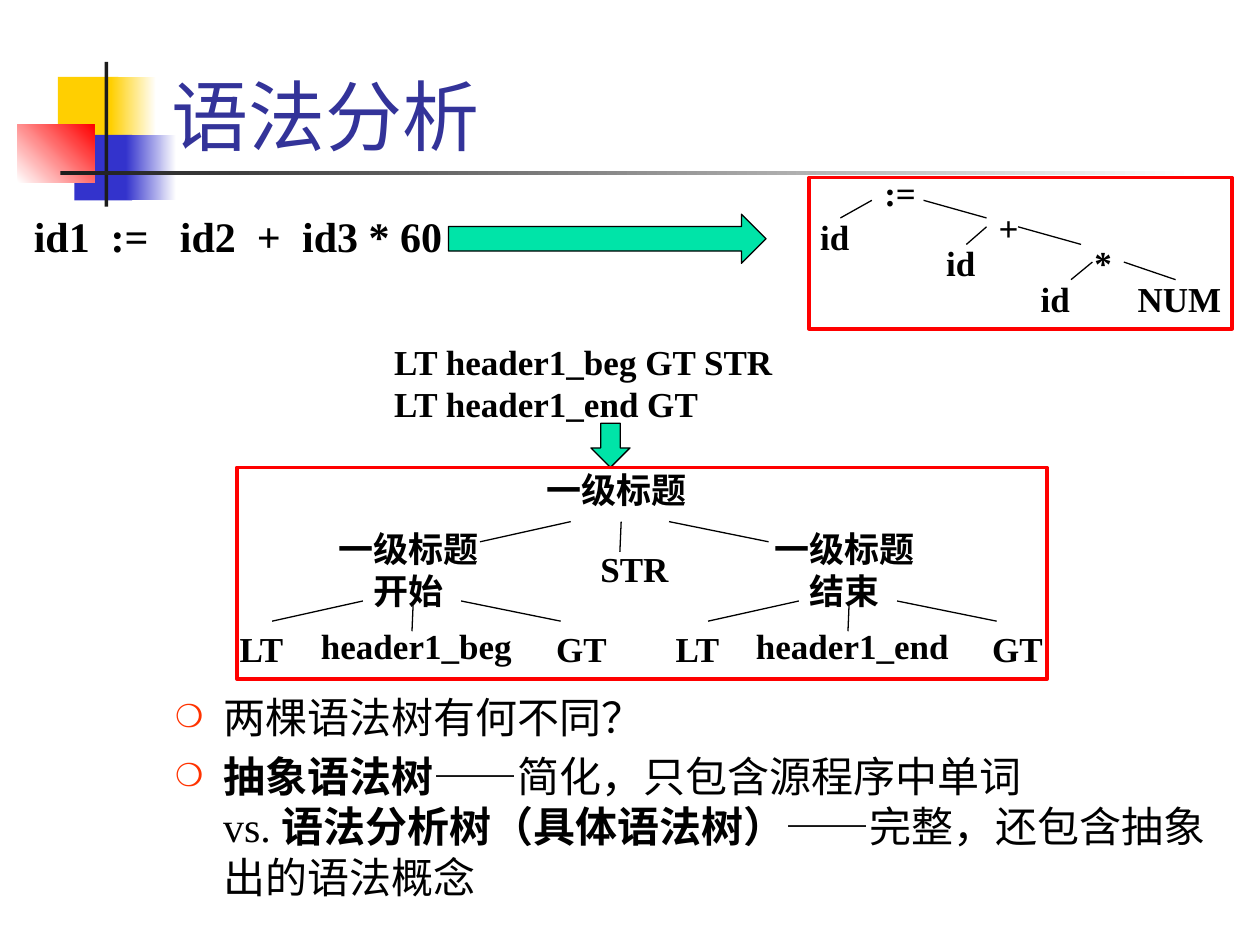
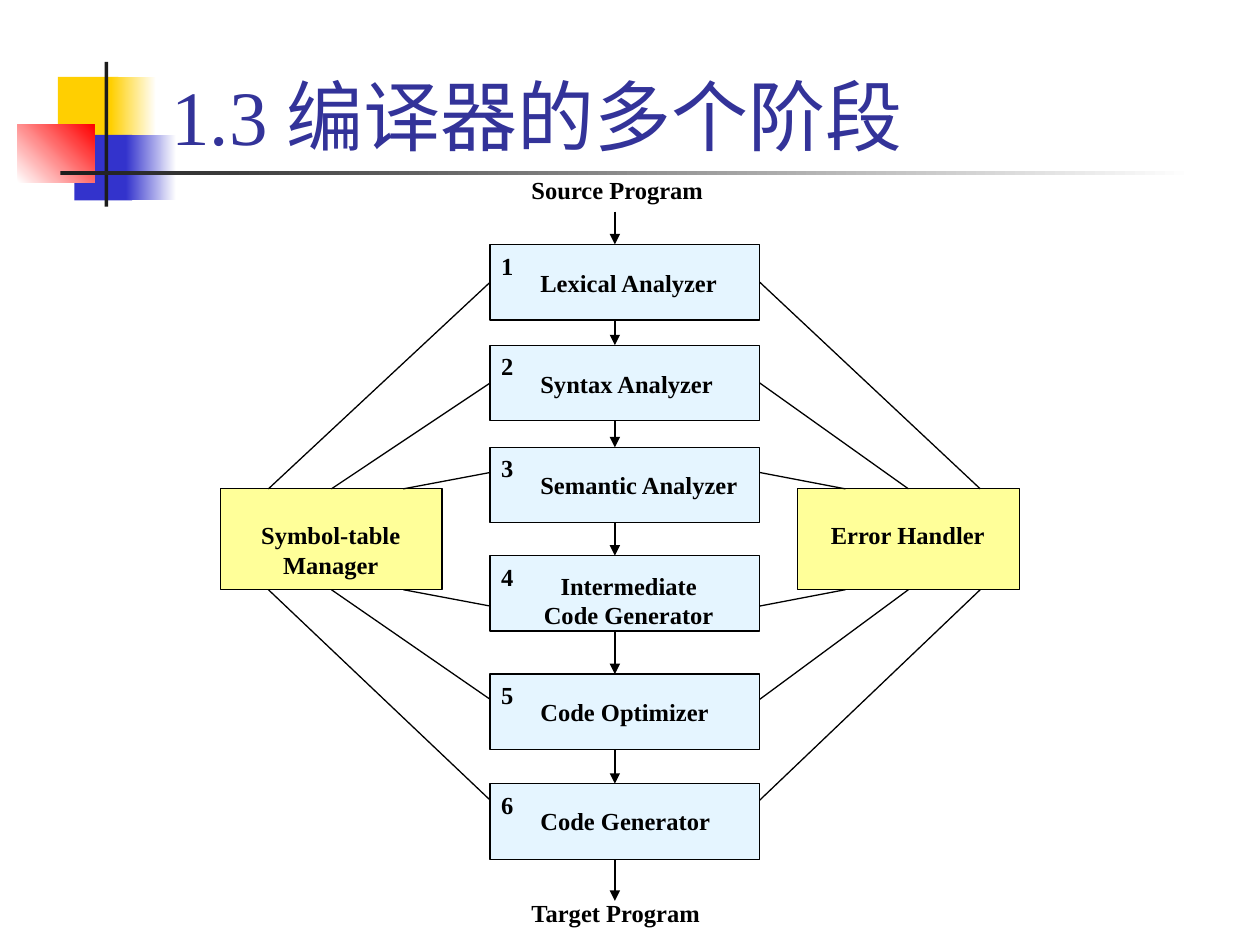
from lxml.etree import SubElement
from pptx import Presentation
from pptx.dml.color import RGBColor
from pptx.enum.shapes import MSO_CONNECTOR, MSO_SHAPE
from pptx.enum.text import MSO_ANCHOR, MSO_AUTO_SIZE, PP_ALIGN
from pptx.oxml.ns import qn
from pptx.util import Inches, Pt

FONT = "Times New Roman"
COLORS = {
    "title": "333399", "text": "000000", "bullet": "FF3300",
    "yellow": "FFCF01", "blue": "3333CC", "red": "FF0000",
    "dark": "1C1C1C", "white": "FFFFFF",
    "arrow": "00E4A8", "stage": "CCECFF", "manager": "FFFF99",
}
TOP, LEFT, BOTTOM, RIGHT = range(4)  # connection sites of a rectangle


def rgb(name):
    return RGBColor.from_string(COLORS[name])


# Basic elements

def add_run(paragraph, text, size, color="text", bold=False):
    run = paragraph.add_run()
    run.text = text
    run.font.name = FONT
    run.font.size = Pt(size)
    run.font.bold = bold
    run.font.color.rgb = rgb(color)


def add_label(slide, text, left, top, width, height=0.44, size=20,
              align=PP_ALIGN.CENTER, tabs=()):
    box = slide.shapes.add_textbox(*map(Inches, (left, top, width, height)))
    box.text_frame.word_wrap = True
    paragraph = box.text_frame.paragraphs[0]
    paragraph.alignment = align
    if tabs:
        tab_list = SubElement(paragraph._p.get_or_add_pPr(), qn("a:tabLst"))
        for position in tabs:
            SubElement(tab_list, qn("a:tab"), pos=str(Inches(position)), algn="l")
    add_run(paragraph, text, size, bold=True)


def add_block(slide, area, fill=None, kind=MSO_SHAPE.RECTANGLE, line=None,
              line_width=0.75, alpha=None):
    block = slide.shapes.add_shape(kind, *map(Inches, area))
    block.shadow.inherit = False
    if fill:
        block.fill.solid()
        block.fill.fore_color.rgb = rgb(fill)
    else:
        block.fill.background()
    if alpha:
        color = block.element.spPr.find(qn("a:solidFill"))[0]
        SubElement(color, qn("a:alpha"), val=str(alpha * 1000))
    if line:
        block.line.color.rgb = rgb(line)
        block.line.width = Pt(line_width)
    else:
        block.line.fill.background()
    return block


def add_fade(slide, area, start, end, angle=0):
    fade = add_block(slide, area, start)
    fade.fill.gradient()
    fade.fill.gradient_angle = angle
    for stop, color, position in zip(fade.fill.gradient_stops, (start, end), (0, 1)):
        stop.color.rgb = rgb(color)
        stop.position = position


def add_line(slide, start, end, arrow=False):
    line = slide.shapes.add_connector(
        MSO_CONNECTOR.STRAIGHT, *map(Inches, (*start, *end)))
    line.line.color.rgb = rgb("text")
    line.line.width = Pt(0.75)
    properties = line.element.spPr
    if arrow:
        SubElement(properties.find(qn("a:ln")), qn("a:tailEnd"), type="triangle")
    SubElement(properties, qn("a:effectLst"))
    return line


# Placeholders and the shared slide design

def place(placeholder, left, top, width, height, anchor):
    placeholder.left, placeholder.top = Inches(left), Inches(top)
    placeholder.width, placeholder.height = Inches(width), Inches(height)
    frame = placeholder.text_frame
    frame.auto_size = MSO_AUTO_SIZE.NONE
    frame.word_wrap = True
    frame.vertical_anchor = anchor
    # Bring the text in front of the decoration
    placeholder.element.getparent().append(placeholder.element)
    return frame


def add_slide(prs, layout, title):
    slide = prs.slides.add_slide(prs.slide_layouts[layout])
    add_block(slide, (0.46, 0.61, 0.48, 0.52), "yellow")
    add_fade(slide, (0.88, 0.61, 0.36, 0.52), "yellow", "white")
    add_block(slide, (0.59, 1.07, 0.46, 0.52), "blue")
    add_fade(slide, (1, 1.07, 0.4, 0.52), "blue", "white")
    add_fade(slide, (0.14, 0.99, 0.61, 0.46), "white", "red", 45)
    add_block(slide, (0.83, 0.49, 0.03, 1.15), "dark")
    add_fade(slide, (0.48, 1.36, 9, 0.03), "dark", "white")

    frame = place(slide.shapes.title, 1.26, 0.08, 8.52, 1.25, MSO_ANCHOR.BOTTOM)
    frame.paragraphs[0].alignment = PP_ALIGN.LEFT
    add_run(frame.paragraphs[0], title, 44, "title")
    return slide


def add_bullet(paragraph):
    properties = paragraph._p.get_or_add_pPr()
    properties.set("marL", str(Inches(0.38)))
    properties.set("indent", str(-Inches(0.38)))
    color = SubElement(properties, qn("a:buClr"))
    SubElement(color, qn("a:srgbClr"), val=COLORS["bullet"])
    SubElement(properties, qn("a:buSzPct"), val="75000")
    SubElement(properties, qn("a:buChar"), char="❍")


def add_bullet_list(slide, items):
    frame = place(slide.placeholders[1], 1.29, 5.44, 8.5, 1.54, MSO_ANCHOR.TOP)
    for index, item in enumerate(items):
        paragraph = frame.add_paragraph() if index else frame.paragraphs[0]
        add_bullet(paragraph)
        paragraph.space_before = Pt(4.8 if index else 0)
        for text, bold in item:
            if text == "\n":
                paragraph.add_line_break()
            else:
                add_run(paragraph, text, 24, bold=bold)


# Syntax trees

def add_branches(slide, x, y):
    """Three lines from a node down to its children."""
    for start, end, drop in ((0.38, 1.17, 0.16), (-0.4, -1.12, 0.16), (0, -0.01, 0.24)):
        add_line(slide, (x + start, y), (x + end, y + drop))


def add_tag_tree(slide, left, node, tag):
    add_label(slide, "LT", left, 4.93, 0.61)
    add_label(slide, node, left + 0.71, 4.14, 1.52, 0.77)
    add_label(slide, tag, left + 0.63, 4.91, 1.81)
    add_label(slide, "GT", left + 2.54, 4.93, 0.61)
    add_branches(slide, left + 1.51, 4.77)


def add_heading_tree(slide):
    add_label(slide, "LT header1_beg GT STR LT header1_end GT",
              3.03, 2.65, 3.54, 0.55, align=PP_ALIGN.LEFT)
    add_block(slide, (4.69, 3.36, 0.31, 0.35), "arrow", MSO_SHAPE.DOWN_ARROW, "text")
    add_label(slide, "一级标题", 4.13, 3.67, 1.52)
    add_label(slide, "STR", 4.13, 4.3, 1.81)
    add_branches(slide, 4.93, 4.14)
    add_tag_tree(slide, 1.77, "一级标题开始", "header1_beg")
    add_tag_tree(slide, 5.23, "一级标题结束", "header1_end")
    add_block(slide, (1.88, 3.71, 6.43, 1.68), line="red", line_width=2)


def add_expression_tree(slide):
    add_label(slide, "id1\t:=\tid2\t+\tid3 * 60", 0.17, 1.62, 3.47, 0.51, 24,
              PP_ALIGN.LEFT, tabs=(0.61, 1.16, 1.77, 2.13))
    add_block(slide, (3.56, 1.7, 2.52, 0.39), "arrow", MSO_SHAPE.RIGHT_ARROW, "text")
    add_label(slide, ":=", 6.92, 1.31, 0.67, align=PP_ALIGN.LEFT)
    for node, left, top, width in (
            ("id", 6, 1.66, 1.25), ("id", 7, 1.87, 1.25), ("id", 7.75, 2.15, 1.25),
            ("+", 7.67, 1.59, 0.67), ("*", 8.42, 1.87, 0.67), ("NUM", 8.92, 2.15, 0.88)):
        add_label(slide, node, left, top, width)
    for x1, x2, top in ((6.92, 6.67, 1.59), (7.33, 7.83, 1.59), (7.83, 7.67, 1.8),
                        (8.08, 8.58, 1.8), (8.67, 8.5, 2.08), (8.92, 9.33, 2.08)):
        add_line(slide, (x1, top), (x2, top + 0.14))
    add_block(slide, (6.42, 1.41, 3.36, 1.2), line="red", line_width=2)


# Compiler phases

STAGE_LEFT, STAGE_WIDTH, STAGE_HEIGHT = 3.89, 2.14, 0.6
MANAGER_TOP, MANAGER_WIDTH, MANAGER_HEIGHT = 3.88, 1.76, 0.8
# Name, top, label offset, label width, height at which the side links attach
STAGES = (
    ("Lexical Analyzer", 1.94, 0.14, 1.62, 0.27),
    ("Syntax Analyzer", 2.74, 0.14, 1.62, 0.27),
    ("Semantic Analyzer", 3.55, 0.13, 2.21, 0.2),
    ("Intermediate Code Generator", 4.41, 0.07, 1.6, 0.4),
    ("Code Optimizer", 5.35, 0.13, 1.62, 0.2),
    ("Code Generator", 6.22, 0.13, 1.62, 0.13),
)


def add_stage(slide, number, name, top, label_offset, label_width):
    stage = add_block(slide, (STAGE_LEFT, top, STAGE_WIDTH, STAGE_HEIGHT),
                      "stage", line="text", alpha=50)
    two_lines = name.startswith("Intermediate")
    add_label(slide, name, 4.19, top + label_offset, label_width,
              0.57 if two_lines else 0.33, 14,
              PP_ALIGN.CENTER if two_lines else PP_ALIGN.LEFT)
    add_label(slide, str(number), 3.88, top, 0.23, 0.33, 14, PP_ALIGN.LEFT)
    return stage


def add_manager(slide, name, left, stages, stage_side):
    manager = add_block(slide, (left, MANAGER_TOP, MANAGER_WIDTH, MANAGER_HEIGHT),
                        "manager", line="text")
    add_label(slide, name, left + 0.15, MANAGER_TOP + 0.2, 1.45, 0.57, 14)
    fan = (0.38, 0.91, 1.45) if stage_side == LEFT else (1.45, 0.91, 0.38)
    stage_x = STAGE_LEFT + (STAGE_WIDTH if stage_side == RIGHT else 0)
    for index, (stage, offset) in enumerate(zip(stages, fan + fan[::-1])):
        top, link = STAGES[index][1], STAGES[index][4]
        above = index < 3
        manager_y = MANAGER_TOP + (0 if above else MANAGER_HEIGHT)
        line = add_line(slide, (stage_x, top + link), (left + offset, manager_y))
        if index < 2:
            line.begin_connect(stage, stage_side)
        if index in (1, 4):
            line.end_connect(manager, TOP if above else BOTTOM)


def add_phases(slide):
    for name, top in (("Source Program", 1.34), ("Target Program", 7.08)):
        add_label(slide, name, 4.12, top, 2.06, 0.33, 14, PP_ALIGN.LEFT)
    stages = [add_stage(slide, number, *details[:4])
              for number, details in enumerate(STAGES, 1)]
    tops = [details[1] for details in STAGES]
    starts = [1.68] + [top + STAGE_HEIGHT for top in tops]
    for start, end in zip(starts, tops + [7.15]):
        add_line(slide, (4.88, start), (4.88, end), arrow=True)
    add_manager(slide, "Symbol-table Manager", 1.75, stages, LEFT)
    add_manager(slide, "Error Handler", 6.33, stages, RIGHT)


def main():
    prs = Presentation()
    prs.slide_width, prs.slide_height = Inches(10), Inches(7.5)

    parsing = add_slide(prs, 1, "语法分析")
    add_expression_tree(parsing)
    add_heading_tree(parsing)
    add_bullet_list(parsing, (
        (("两棵语法树有何不同？", False),),
        (("抽象语法树", True), ("——简化，只包含源程序中单词", False), ("\n", False),
         ("vs. ", False), ("语法分析树（具体语法树）", True),
         ("——完整，还包含抽象出的语法概念", False)),
    ))

    phases = add_slide(prs, 5, "1.3 编译器的多个阶段")
    add_phases(phases)

    prs.save("out.pptx")


if __name__ == "__main__":
    main()
